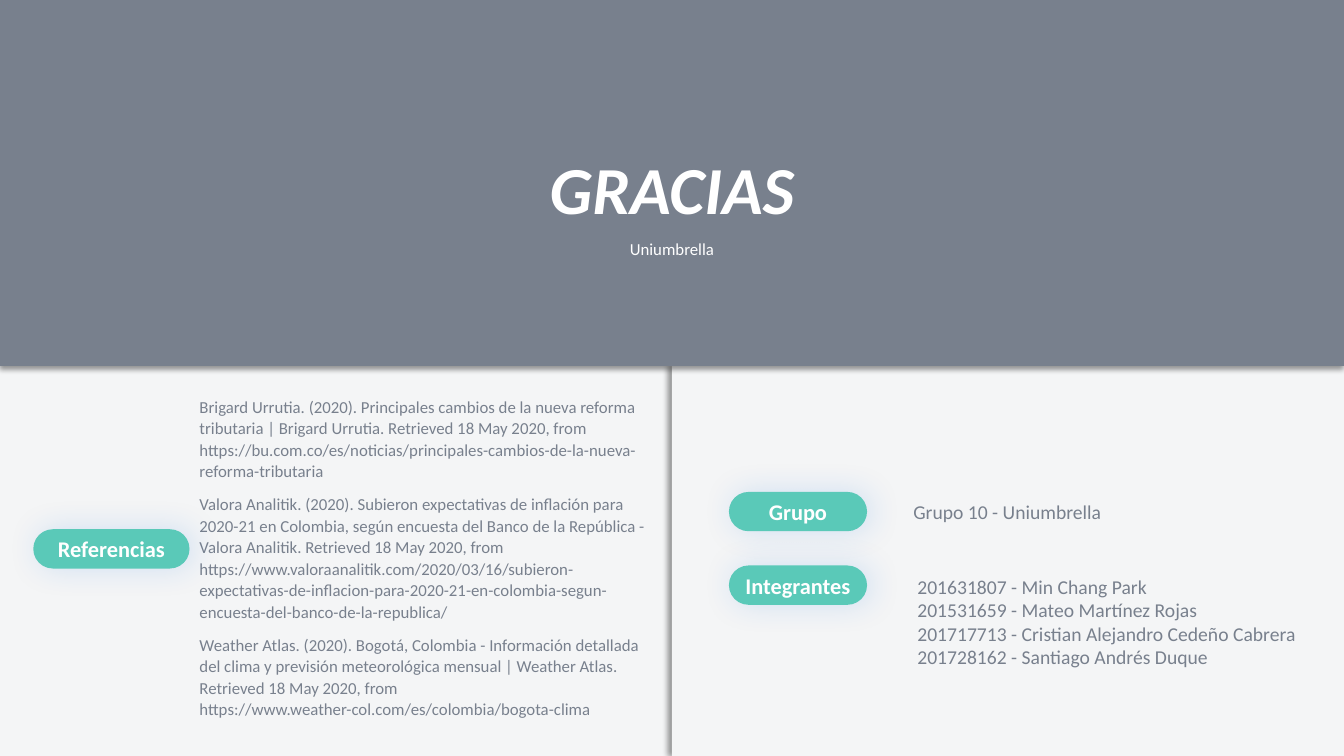
from dataclasses import dataclass

from lxml import etree
from pptx import Presentation
from pptx.dml.color import RGBColor
from pptx.enum.shapes import MSO_SHAPE
from pptx.enum.text import MSO_ANCHOR, MSO_AUTO_SIZE, PP_ALIGN
from pptx.oxml.ns import qn
from pptx.util import Inches, Pt

RECT = MSO_SHAPE.RECTANGLE
PILL = MSO_SHAPE.ROUNDED_RECTANGLE
MIDDLE = MSO_ANCHOR.MIDDLE
FIT_SHAPE = MSO_AUTO_SIZE.SHAPE_TO_FIT_TEXT
CENTER = PP_ALIGN.CENTER

COLORS = {
    "paper": "F4F5F6",
    "slate": "78808D",
    "teal": "5AC9B8",
    "white": "FFFFFF",
    "black": "000000",
    "glow": "1A73DE",
}
FONT = "Calibri"
SLIDE_W, SLIDE_H = 13.33, 7.5
BANNER_H = 3.63
PILL_H = 0.39


@dataclass(frozen=True)
class Box:
    left: float
    top: float
    width: float
    height: float


@dataclass(frozen=True)
class Shadow:
    color: str
    opacity: int  # percent
    blur: float  # points
    distance: float  # points
    angle: int  # degrees


@dataclass(frozen=True)
class Label:
    text: str
    box: Box


@dataclass(frozen=True)
class Note:
    paragraphs: tuple[str, ...]
    box: Box
    size: int
    wrap: bool = False
    line_spacing: float = 1.0
    space_after: int = 0


PILL_GLOW = Shadow("glow", 17, 23, 3, 0)

LABELS = [
    Label("Grupo", Box(7.23, 4.88, 1.37, PILL_H)),
    Label("Integrantes", Box(7.23, 5.61, 1.37, PILL_H)),
    Label("Referencias", Box(0.33, 5.25, 1.55, PILL_H)),
]

MEMBERS = "\n".join([
    "201631807 - Min Chang Park",
    "201531659 - Mateo Martínez Rojas",
    "201717713 - Cristian Alejandro Cedeño Cabrera",
    "201728162 - Santiago Andrés Duque",
])

REFERENCES = (
    "Brigard Urrutia. (2020). Principales cambios de la nueva reforma tributaria | "
    "Brigard Urrutia. Retrieved 18 May 2020, from "
    "https://bu.com.co/es/noticias/principales-cambios-de-la-nueva-reforma-tributaria",
    "Valora Analitik. (2020). Subieron expectativas de inflación para 2020-21 en "
    "Colombia, según encuesta del Banco de la República - Valora Analitik. "
    "Retrieved 18 May 2020, from "
    "https://www.valoraanalitik.com/2020/03/16/subieron-expectativas-de-inflacion-"
    "para-2020-21-en-colombia-segun-encuesta-del-banco-de-la-republica/",
    "Weather Atlas. (2020). Bogotá, Colombia - Información detallada del clima y "
    "previsión meteorológica mensual | Weather Atlas. Retrieved 18 May 2020, from "
    "https://www.weather-col.com/es/colombia/bogota-clima",
)

NOTES = [
    Note(("Grupo 10 - Uniumbrella",), Box(8.96, 4.91, 2.08, 0.34), 14),
    Note((MEMBERS,), Box(9, 5.65, 4, 1.04), 14),
    Note(REFERENCES, Box(1.88, 3.87, 4.79, 3.34), 12, True, 1.07, 8),
]


def rgb(name: str) -> RGBColor:
    return RGBColor.from_string(COLORS[name])


def place(box: Box) -> tuple:
    return tuple(Inches(v) for v in (box.left, box.top, box.width, box.height))


def style_paragraph(paragraph, text: str, size: int, color: str,
                    bold: bool = False, italic: bool = False) -> None:
    paragraph.text = text.replace("\n", "\v")
    font = paragraph.font
    font.name, font.size = FONT, Pt(size)
    font.bold, font.italic = bold, italic
    font.color.rgb = rgb(color)


def add_panel(slide, kind, box: Box, fill: str, shadow: Shadow):
    panel = slide.shapes.add_shape(kind, *place(box))
    panel.fill.solid()
    panel.fill.fore_color.rgb = rgb(fill)
    panel.line.fill.background()
    panel.text_frame.vertical_anchor = MIDDLE
    # Replace the theme shadow with an explicit one
    panel.shadow.inherit = False
    effects = panel._element.spPr.find(qn("a:effectLst"))
    outer = etree.SubElement(
        effects, qn("a:outerShdw"), blurRad=str(Pt(shadow.blur)),
        dist=str(Pt(shadow.distance)), dir=str(shadow.angle * 60000),
        algn="ctr", rotWithShape="0")
    tint = etree.SubElement(outer, qn("a:srgbClr"), val=COLORS[shadow.color])
    etree.SubElement(tint, qn("a:alpha"), val=str(shadow.opacity * 1000))
    return panel


def add_banner(slide) -> None:
    banner = add_panel(slide, RECT, Box(0, 0, SLIDE_W, BANNER_H), "slate",
                       Shadow("black", 40, 4, 3, 90))
    frame = banner.text_frame
    title, team = frame.paragraphs[0], frame.add_paragraph()
    style_paragraph(title, "GRACIAS", 48, "white", bold=True, italic=True)
    style_paragraph(team, "Uniumbrella", 12, "white")
    for paragraph in (title, team):
        paragraph.alignment = CENTER
        paragraph.line_spacing = 1.5


def add_label(slide, label: Label) -> None:
    pill = add_panel(slide, PILL, label.box, "teal", PILL_GLOW)
    pill.adjustments[0] = 0.5
    caption = pill.text_frame.paragraphs[0]
    style_paragraph(caption, label.text, 16, "white", bold=True)
    caption.alignment = CENTER


def add_note(slide, note: Note) -> None:
    frame = slide.shapes.add_textbox(*place(note.box)).text_frame
    frame.word_wrap = note.wrap
    frame.auto_size = FIT_SHAPE
    for index, text in enumerate(note.paragraphs):
        paragraph = frame.add_paragraph() if index else frame.paragraphs[0]
        style_paragraph(paragraph, text, note.size, "slate")
        paragraph.line_spacing = note.line_spacing
        paragraph.space_after = Pt(note.space_after)


def main() -> None:
    deck = Presentation()
    deck.slide_width, deck.slide_height = Inches(SLIDE_W), Inches(SLIDE_H)
    slide = deck.slides.add_slide(deck.slide_layouts[6])
    slide.background.fill.solid()
    slide.background.fill.fore_color.rgb = rgb("paper")

    # Right half, then the banner that covers its top edge
    half = SLIDE_W / 2
    add_panel(slide, RECT, Box(half, BANNER_H, half, SLIDE_H - BANNER_H), "paper",
              Shadow("black", 40, 4, 3, 180))
    add_banner(slide)

    # Team details and references
    for note in NOTES:
        add_note(slide, note)
    for label in LABELS:
        add_label(slide, label)

    deck.save("out.pptx")


if __name__ == "__main__":
    main()
